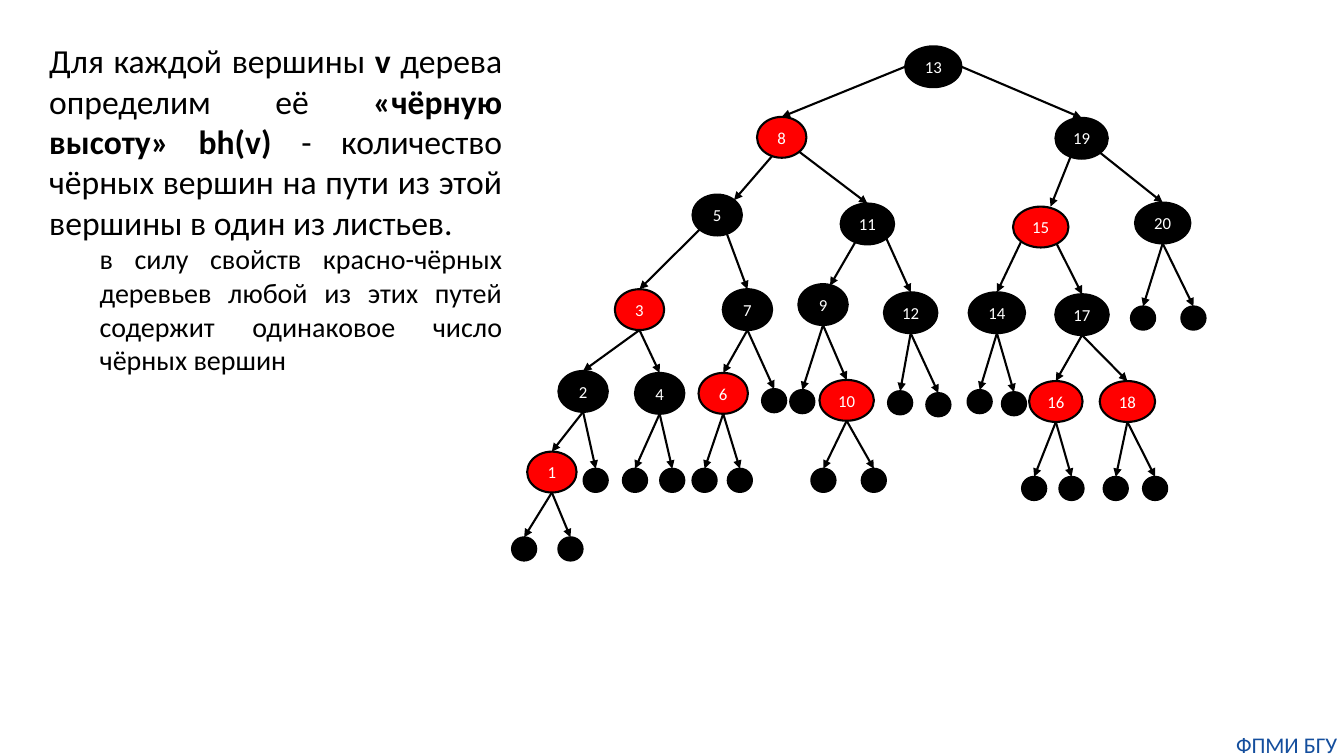
"""Build a slide that defines black height on a red-black tree."""
import math

import lxml.etree
import pptx
import pptx.dml.color
import pptx.enum.shapes
import pptx.enum.text
import pptx.oxml.ns
import pptx.util

Pt = pptx.util.Pt
ALIGN = pptx.enum.text.PP_ALIGN
BLACK, RED, WHITE, BLUE = "000000", "FF0000", "FFFFFF", "144E9D"
FONT = "Calibri"

DEFINITION = [
    ("Для каждой вершины ", False),
    ("v ", True),
    ("дерева определим её ", False),
    ("«чёрную высоту» bh(v) ", True),
    ("- количество чёрных вершин на пути из этой вершины в один из листьев. ", False),
]
REMARK = [("в силу свойств красно-чёрных деревьев любой из этих путей "
           "содержит одинаковое число чёрных вершин", False)]
FOOTER = [("ФПМИ БГУ", False)]

# key: parent, centre x, top, width, colour
VERTICES = {
    13: (None, 666.7, 33.1, 40.3, BLACK),
    8: (13, 558.4, 83.5, 35.3, RED),
    19: (13, 772.6, 84.2, 37.4, BLACK),
    5: (8, 512.3, 139, 35.3, BLACK),
    11: (8, 619.6, 145.4, 38.2, BLACK),
    15: (19, 743.4, 147.6, 39.6, RED),
    20: (19, 830.5, 144.7, 39.6, BLACK),
    3: (5, 456.8, 206.6, 35.3, RED),
    7: (5, 533.9, 206.6, 35.3, BLACK),
    9: (11, 587.9, 203, 35.3, BLACK),
    12: (11, 650.5, 208.8, 38.2, BLACK),
    14: (15, 712.1, 208.8, 40.3, BLACK),
    17: (15, 772.9, 210.2, 38.2, BLACK),
    2: (3, 416.5, 265, 35.3, BLACK),
    4: (3, 471.2, 266.4, 35.3, BLACK),
    6: (7, 516.6, 266.4, 35.3, RED),
    10: (9, 604.8, 271.4, 38.9, RED),
    16: (17, 754.2, 272.2, 38.2, RED),
    18: (17, 805.3, 272.2, 39.6, RED),
    1: (2, 394.2, 322.6, 35.3, RED),
}
LEAVES = {
    1: [(374.4, 383.8), (407.5, 383.8)],
    2: [(425.5, 334.8)],
    4: [(453.6, 334.8), (480.2, 334.8)],
    6: [(503.3, 334.8), (528.5, 334.8)],
    7: [(553, 277.9)],
    9: [(573.1, 278.6)],
    10: [(588.2, 334.8), (624.2, 334.8)],
    12: [(643, 279.4), (670.3, 280.8)],
    14: [(699.8, 278.6), (724.3, 280.1)],
    16: [(738.7, 340.6), (765.4, 340.6)],
    18: [(797, 340.6), (825.1, 340.6)],
    20: [(816.5, 218.9), (852.5, 218.9)],
}
DEPARTURE_ANGLES = {8: 0, 19: 0, 5: 67, 11: 45, 15: 65, 20: 45,
                    3: 45, 7: 67, 9: 63, 12: 45, 14: 45, 17: 55}
ARRIVAL_SHIFTS = {5: (12, 4), 9: (5, 1), 15: (7, 0)}
VERTEX_HEIGHT = 29.2
LEAF_SIZE = (17.3, 16.6)


def rgb(colour):
    """Turn a hex string into a colour."""
    return pptx.dml.color.RGBColor.from_string(colour)


def write(paragraph, pieces, size, colour, align):
    """Fill a paragraph with (words, bold) pieces."""
    paragraph.alignment = align
    for words, bold in pieces:
        run = paragraph.add_run()
        run.text = words
        run.font.name, run.font.size, run.font.bold = FONT, Pt(size), bold
        run.font.color.rgb = rgb(colour)


def add_ellipse(tree, centre_x, top, width, height, colour, label=""):
    """Draw a vertex or a leaf."""
    ellipse = tree.shapes.add_shape(
        pptx.enum.shapes.MSO_SHAPE.OVAL,
        Pt(centre_x - width / 2), Pt(top), Pt(width), Pt(height))
    ellipse.shadow.inherit = False
    ellipse.fill.solid()
    ellipse.fill.fore_color.rgb = rgb(colour)
    ellipse.line.color.rgb = rgb(BLACK)
    ellipse.line.width = Pt(1.5)
    if label:
        frame = ellipse.text_frame
        frame.word_wrap = False
        frame.vertical_anchor = pptx.enum.text.MSO_ANCHOR.MIDDLE
        frame.margin_left = frame.margin_right = 0
        frame.margin_top = frame.margin_bottom = 0
        write(frame.paragraphs[0], [(label, False)], 12, WHITE, ALIGN.CENTER)


def add_edge(tree, parent, child_x, child_top, angle=90, shift=(0, 0)):
    """Draw an arrow from the rim of a parent to the top of its child."""
    _, parent_x, parent_top, width, _ = VERTICES[parent]
    side = math.copysign(1, child_x - parent_x)
    turn = math.radians(angle)
    start_x = parent_x + side * width / 2 * math.cos(turn)
    start_y = parent_top + VERTEX_HEIGHT / 2 * (1 + math.sin(turn))
    edge = tree.shapes.add_connector(
        pptx.enum.shapes.MSO_CONNECTOR.STRAIGHT, Pt(start_x), Pt(start_y),
        Pt(child_x + shift[0]), Pt(child_top + shift[1]))
    edge.line.color.rgb = rgb(BLACK)
    edge.line.width = Pt(1.5)
    qn = pptx.oxml.ns.qn
    lxml.etree.SubElement(edge.line._get_or_add_ln(), qn("a:tailEnd"), type="triangle")
    lxml.etree.SubElement(edge._element.spPr, qn("a:effectLst"))


def add_text(slide, left, top, width, height):
    """Add a wrapping text box and return its frame."""
    frame = slide.shapes.add_textbox(Pt(left), Pt(top), Pt(width), Pt(height)).text_frame
    frame.word_wrap = True
    return frame


deck = pptx.Presentation()
deck.slide_width, deck.slide_height = Pt(960), Pt(540)
slide = deck.slides.add_slide(deck.slide_layouts[6])

footer = add_text(slide, 878.4, 522, 81.4, 19.4)
footer.margin_left = footer.margin_right = footer.margin_top = footer.margin_bottom = 0
write(footer.paragraphs[0], FOOTER, 16, BLUE, ALIGN.CENTER)

tree = slide.shapes.add_group_shape()
for key, (parent, centre_x, top, width, colour) in VERTICES.items():
    add_ellipse(tree, centre_x, top, width, VERTEX_HEIGHT, colour, str(key))
    if parent:
        add_edge(tree, parent, centre_x, top,
                 DEPARTURE_ANGLES.get(key, 90), ARRIVAL_SHIFTS.get(key, (0, 0)))
for parent, places in LEAVES.items():
    for centre_x, top in places:
        add_ellipse(tree, centre_x, top, *LEAF_SIZE, BLACK)
        add_edge(tree, parent, centre_x, top)

explanation = add_text(slide, 28.1, 25.2, 337.7, 249.8)
write(explanation.paragraphs[0], DEFINITION, 24, BLACK, ALIGN.JUSTIFY)
remark = explanation.add_paragraph()
remark.level = 1
remark._p.get_or_add_pPr().set("marL", str(Pt(36)))
write(remark, REMARK, 20, BLACK, ALIGN.JUSTIFY)

deck.save("out.pptx")
